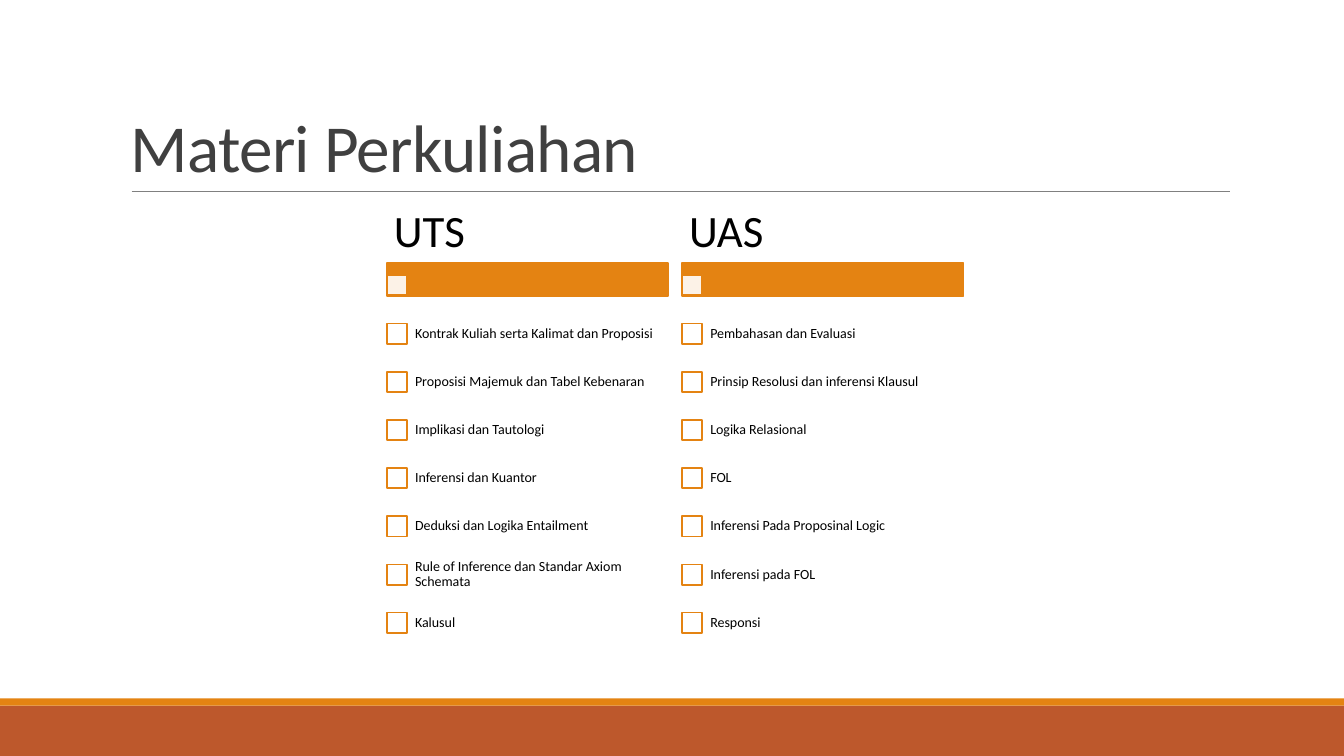
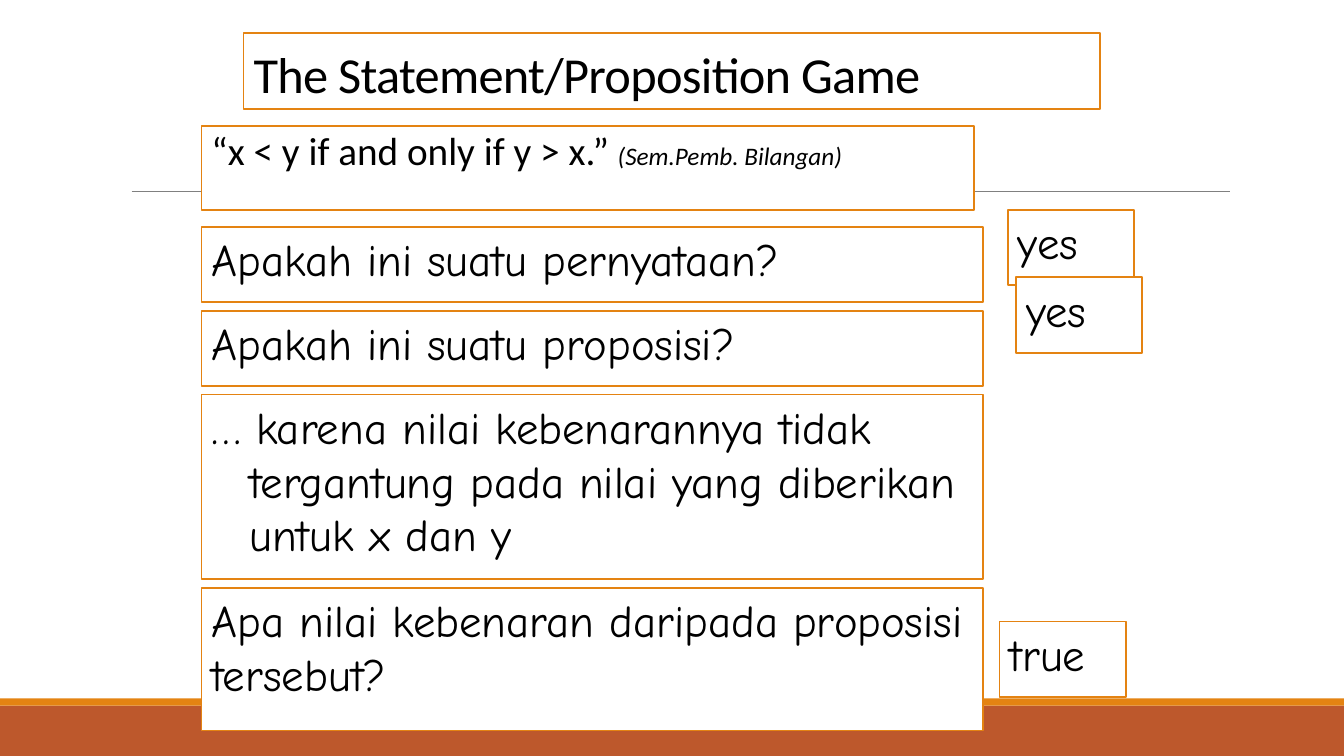
from lxml import etree
from pptx import Presentation
from pptx.dml.color import RGBColor as RGB
from pptx.enum.shapes import MSO_CONNECTOR as LINE, MSO_SHAPE as SHAPE
from pptx.enum.text import MSO_ANCHOR as ANCHOR
from pptx.oxml.ns import qn
from pptx.util import Cm, Pt

COLORS = {"orange": "E48312", "rust": "BD582C", "white": "FFFFFF",
          "rule": "808080", "title": "404040", "text": "000000"}
SANS, HAND = "Calibri", "Comic Neue"
WIDTH, HEIGHT = 33.87, 19.05

TOPICS_TITLE = "Materi Perkuliahan"
TOPICS = {
    "UTS": ["Kontrak Kuliah serta Kalimat dan Proposisi",
            "Proposisi Majemuk dan Tabel Kebenaran",
            "Implikasi dan Tautologi",
            "Inferensi dan Kuantor",
            "Deduksi dan Logika Entailment",
            "Rule of Inference dan Standar Axiom Schemata",
            "Kalusul"],
    "UAS": ["Pembahasan dan Evaluasi",
            "Prinsip Resolusi dan inferensi Klausul",
            "Logika Relasional",
            "FOL",
            "Inferensi Pada Proposinal Logic",
            "Inferensi pada FOL",
            "Responsi"],
}

GAME_TITLE = "The Statement/Proposition Game"
STATEMENT = [("“x < y if and only if y > x.” ", 28, False),
             ("(Sem.Pemb. Bilangan)", 18, True)]
QUESTIONS = [
    ("Apakah ini suatu pernyataan?", 1.9, 0.95),
    ("Apakah ini suatu proposisi?", 1.9, 0.95),
    ("… karena nilai kebenarannya tidak tergantung pada nilai yang diberikan untuk x dan y",
     4.66, 0.95),
    ("Apa nilai kebenaran daripada proposisi tersebut?", 3.6, 0),
]
ANSWERS = [("yes", 25.4, 5.29), ("yes", 25.61, 6.99), ("true", 25.19, 15.66)]


def color(name):
    return RGB.from_string(COLORS[name])


def add_rect(s, x, y, w, h, fill="white", line="orange", alpha=None):
    sp = s.shapes.add_shape(SHAPE.RECTANGLE, Cm(x), Cm(y), Cm(w), Cm(h))
    sp.shadow.inherit = False
    sp.fill.solid()
    sp.fill.fore_color.rgb = color(fill)
    if alpha:
        clr = sp.fill._xPr.find(".//" + qn("a:srgbClr"))
        etree.SubElement(clr, qn("a:alpha")).set("val", str(alpha * 1000))
    if line:
        sp.line.color.rgb = color(line)
        sp.line.width = Pt(1.25)
    else:
        sp.line.fill.background()
    return sp


def add_textbox(s, x, y, w, h):
    return s.shapes.add_textbox(Cm(x), Cm(y), Cm(w), Cm(h))


def write(sp, text, size=32, font=HAND, fill="text", anchor=ANCHOR.TOP,
          inset=(0.25, 0.13), spacing=None, tracking=0, hanging=0):
    tf = sp.text_frame
    tf.word_wrap = True
    tf.vertical_anchor = anchor
    tf.margin_left = tf.margin_right = Cm(inset[0])
    tf.margin_top = tf.margin_bottom = Cm(inset[1])
    p = tf.paragraphs[0]
    pPr = p._p.get_or_add_pPr()
    pPr.set("algn", "l")
    pPr.set("marL", str(Cm(hanging)))
    pPr.set("indent", str(-Cm(hanging)))
    if spacing:
        p.line_spacing = spacing
    runs = [(text, size, False)] if isinstance(text, str) else text
    for content, points, italic in runs:
        r = p.add_run()
        r.text = content
        r.font.size = Pt(points)
        r.font.name = font
        r.font.italic = italic
        r.font.color.rgb = color(fill)
        if tracking:
            r._r.get_or_add_rPr().set("spc", str(int(tracking * 100)))


def write_title(sp, text, **kw):
    write(sp, text, font=SANS, anchor=ANCHOR.BOTTOM, spacing=0.85, tracking=-0.5, **kw)


def add_base_slide(prs):
    s = prs.slides.add_slide(prs.slide_layouts[6])
    add_rect(s, 0, 17.78, WIDTH, 1.27, fill="rust", line=None)
    add_rect(s, 0, 17.6, WIDTH, 0.18, fill="orange", line=None)
    rule = s.shapes.add_connector(LINE.STRAIGHT, Cm(3.32), Cm(4.82), Cm(31), Cm(4.82))
    rule.line.color.rgb = color("rule")
    rule.line.width = Pt(0.5)
    etree.SubElement(rule._element.spPr, qn("a:effectLst"))
    return s


def build_topics(prs):
    s = add_base_slide(prs)
    write_title(add_textbox(s, 3.05, 0.79, 27.94, 4.03), TOPICS_TITLE, size=48, fill="title")
    left, step, width, box = 9.75, 7.44, 7.09, 0.51
    top, bottom = 7.8, 16.3
    for col, (heading, topics) in enumerate(TOPICS.items()):
        x = left + col * step
        add_rect(s, x, 6.63, width, 0.84, fill="orange")
        add_rect(s, x, 6.93, box, box, alpha=90)
        write(add_textbox(s, x, 5.13, width, 1.5), heading, font=SANS,
              anchor=ANCHOR.MIDDLE, inset=(0.18, 0.1), spacing=0.9)
        row_h = (bottom - top) / len(topics)
        for row, topic in enumerate(topics):
            y = top + row * row_h
            add_rect(s, x, y + (row_h - box) / 2, box, box)
            write(add_textbox(s, x + box, y, width - box, row_h), topic, size=10,
                  font=SANS, anchor=ANCHOR.MIDDLE, inset=(0.2, 0.2), spacing=0.9)


def build_game(prs):
    s = add_base_slide(prs)
    left, gap = 5.08, 0.21
    write_title(add_rect(s, 6.14, 0.84, 21.59, 1.9), GAME_TITLE, size=36)
    write(add_rect(s, left, 3.18, 19.47, 2.12), STATEMENT, font=SANS, spacing=0.9)
    y = 5.72
    for text, height, hanging in QUESTIONS:
        write(add_rect(s, left, y, 19.69, height), text, hanging=hanging)
        y += height + gap
    for text, x, y in ANSWERS:
        write(add_rect(s, x, y, 3.18, 1.9), text)


def main():
    prs = Presentation()
    prs.slide_width, prs.slide_height = Cm(WIDTH), Cm(HEIGHT)
    build_topics(prs)
    build_game(prs)
    prs.save("out.pptx")


if __name__ == "__main__":
    main()
